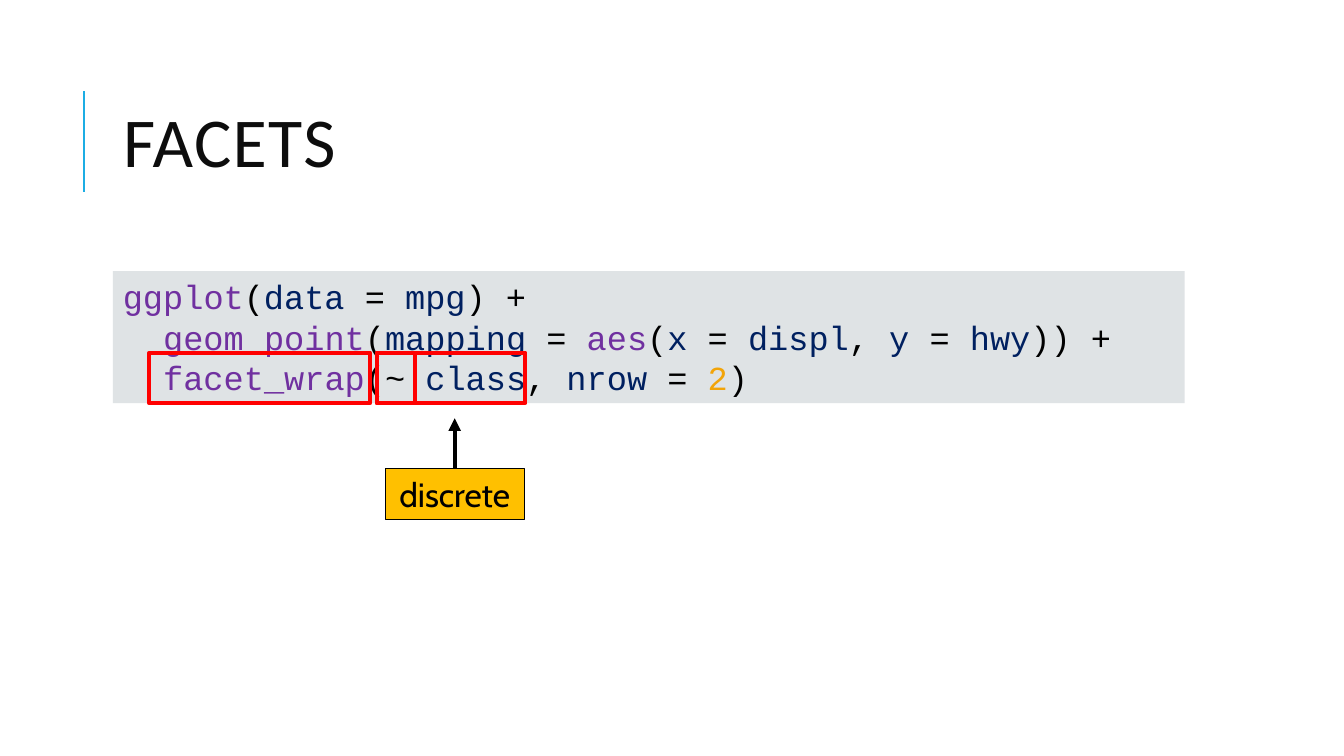
"""Build the facets slide: a highlighted ggplot call with a note below it."""
from dataclasses import dataclass

from lxml.etree import SubElement
from pptx import Presentation
from pptx.dml.color import RGBColor
from pptx.enum.shapes import MSO_CONNECTOR, MSO_SHAPE
from pptx.enum.text import MSO_ANCHOR, PP_ALIGN
from pptx.oxml.ns import qn
from pptx.util import Inches, Pt


@dataclass(frozen=True)
class Theme:
    """Colours, fonts and type sizes of the slide."""
    accent: str = "1CADE4"
    title: str = "0D0D0D"
    ink: str = "000000"
    panel: str = "DFE3E5"
    function: str = "7030A0"
    name: str = "002060"
    number: str = "F2A408"
    frame: str = "FF0000"
    label: str = "FFC000"
    title_font: str = "Calibri"
    code_font: str = "Courier New"
    label_font: str = "Cabin"
    title_size: int = 50
    body_size: int = 24
    code_leading: float = 28.8


T = Theme()
LEFT, WIDTH = 1.12, 10.63
FRAME_TOP, FRAME_HEIGHT = 3.5, 0.5
LABEL_LEFT, LABEL_TOP, LABEL_WIDTH = 3.82, 4.65, 1.38

CODE = [
    [("ggplot", T.function), ("(", T.ink), ("data", T.name), (" = ", T.ink),
     ("mpg", T.name), (") +", T.ink)],
    [("  ", T.ink), ("geom_point", T.function), ("(", T.ink),
     ("mapping", T.name), (" = ", T.ink), ("aes", T.function), ("(", T.ink),
     ("x", T.name), (" = ", T.ink), ("displ", T.name), (", ", T.ink),
     ("y", T.name), (" = ", T.ink), ("hwy", T.name), (")) +", T.ink)],
    [("  ", T.ink), ("facet_wrap", T.function), ("(~ ", T.ink),
     ("class", T.name), (", ", T.ink), ("nrow", T.name), (" = ", T.ink),
     ("2", T.number), (")", T.ink)],
]
FRAMES = [(1.48, 2.19), (3.74, 0.38), (3.74, 1.47)]


def rgb(color):
    """Turn a hex string into a colour."""
    return RGBColor.from_string(color)


def set_font(font, name, size, color=None):
    """Set the face, size and optional colour of a font."""
    font.name, font.size = name, Pt(size)
    if color:
        font.color.rgb = rgb(color)


def add_box(shapes, left, top, width, height, fill=None, line=None, weight=0):
    """Add a rectangle with an optional fill and outline."""
    sp = shapes.add_shape(MSO_SHAPE.RECTANGLE, Inches(left), Inches(top),
                          Inches(width), Inches(height))
    sp.shadow.inherit = False
    if fill:
        sp.fill.solid()
        sp.fill.fore_color.rgb = rgb(fill)
    else:
        sp.fill.background()
    if line:
        sp.line.color.rgb = rgb(line)
        sp.line.width = Pt(weight)
    else:
        sp.line.fill.background()
    return sp


def add_line(shapes, x, start, end, color, weight, arrow=False):
    """Add a vertical line, with an arrowhead at its end if asked."""
    line = shapes.add_connector(MSO_CONNECTOR.STRAIGHT, Inches(x),
                                Inches(start), Inches(x), Inches(end))
    line.line.color.rgb = rgb(color)
    line.line.width = Pt(weight)
    if arrow:
        SubElement(line.line._get_or_add_ln(), qn("a:tailEnd"), type="triangle")
    SubElement(line._element.spPr, qn("a:effectLst"))


def add_title(s, text):
    """Place and format the title placeholder."""
    sp = s.shapes.title
    sp.left, sp.top, sp.width, sp.height = map(Inches, (LEFT, 0.64, WIDTH, 1.64))
    tf = sp.text_frame
    tf.text = text
    tf.vertical_anchor = MSO_ANCHOR.MIDDLE
    p = tf.paragraphs[0]
    p.alignment, p.line_spacing = PP_ALIGN.LEFT, 0.8
    set_font(p.font, T.title_font, T.title_size, T.title)
    p.runs[0].font._element.set("spc", "100")


def add_code(s, lines):
    """Add the panel of coloured code."""
    tf = add_box(s.shapes, LEFT, 2.69, WIDTH, 1.31, T.panel).text_frame
    tf.word_wrap = True
    tf.vertical_anchor = MSO_ANCHOR.TOP
    for i, line in enumerate(lines):
        p = tf.add_paragraph() if i else tf.paragraphs[0]
        p.alignment, p.line_spacing = PP_ALIGN.LEFT, Pt(T.code_leading)
        set_font(p.font, T.code_font, T.body_size)
        for text, color in line:
            r = p.add_run()
            r.text = text
            r.font.color.rgb = rgb(color)


def add_callout(s, text):
    """Add a grouped label with an arrow pointing up from it."""
    shapes = s.shapes.add_group_shape().shapes
    sp = add_box(shapes, LABEL_LEFT, LABEL_TOP, LABEL_WIDTH, 0.5,
                 T.label, T.ink, 0.75)
    tf = sp.text_frame
    tf.text = text
    tf.word_wrap = False
    p = tf.paragraphs[0]
    p.alignment = PP_ALIGN.CENTER
    set_font(p.font, T.label_font, T.body_size, T.ink)
    add_line(shapes, LABEL_LEFT + LABEL_WIDTH / 2, LABEL_TOP, LABEL_TOP - 0.5,
             T.ink, 3, arrow=True)


def main():
    """Build and save the slide."""
    prs = Presentation()
    prs.slide_width, prs.slide_height = Inches(13.33), Inches(7.5)
    s = prs.slides.add_slide(prs.slide_layouts[5])
    add_line(s.shapes, 0.83, 1.9, 0.9, T.accent, 1.5)
    add_title(s, "FACETS")
    add_code(s, CODE)
    for left, width in FRAMES:
        add_box(s.shapes, left, FRAME_TOP, width, FRAME_HEIGHT,
                line=T.frame, weight=3)
    add_callout(s, "discrete")
    prs.save("out.pptx")


if __name__ == "__main__":
    main()
